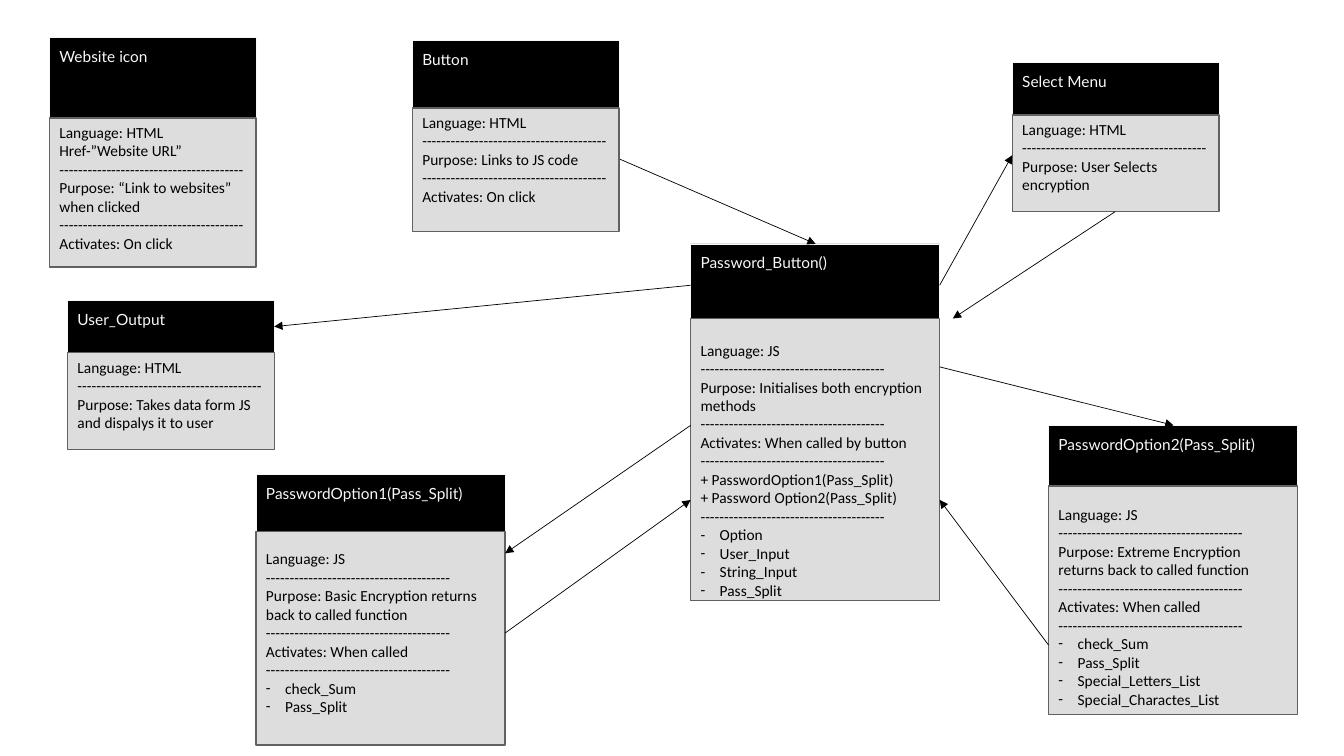
from lxml import etree
from pptx import Presentation
from pptx.dml.color import RGBColor
from pptx.enum.shapes import MSO_CONNECTOR, MSO_SHAPE
from pptx.enum.text import MSO_ANCHOR, MSO_AUTO_SIZE, PP_ALIGN
from pptx.oxml.ns import qn
from pptx.util import Inches, Pt

RECTANGLE = MSO_SHAPE.RECTANGLE
STRAIGHT = MSO_CONNECTOR.STRAIGHT
TOP = MSO_ANCHOR.TOP
LEFT = PP_ALIGN.LEFT
GROW = MSO_AUTO_SIZE.SHAPE_TO_FIT_TEXT
FIXED = MSO_AUTO_SIZE.NONE

COLORS = {
    "header": "000000",
    "header_text": "F8F8F8",
    "body": "DDDDDD",
    "body_border": "616161",
    "ink": "000000",
}
NARROW, WIDE = 2.05, 2.47
DIVIDER = "-" * 39
BULLET = "- "

# left, width, header (top, height), body (top, height), text (top, height), title, sections
CARDS = [
    (0.49, NARROW, (0.37, 0.81), (1.17, 1.48), (1.17, 2.24), "Website icon", [
        ["Language: HTML", "Href-”Website URL”"],
        ["Purpose: “Link to websites” when clicked"],
        ["Activates: On click"]]),
    (4.09, NARROW, (0.4, 0.67), (1.07, 1.23), (1.07, 1.03), "Button", [
        ["Language: HTML"],
        ["Purpose: Links to JS code"],
        ["Activates: On click"]]),
    (6.85, WIDE, (2.42, 0.81), (3.16, 2.8), (3.33, 3.25), "Password_Button()", [
        ["Language: JS"],
        ["Purpose: Initialises both encryption methods"],
        ["Activates: When called by button"],
        ["+ PasswordOption1(Pass_Split)", "+ Password Option2(Pass_Split)"],
        ["- Option", "- User_Input", "- String_Input", "- Pass_Split"]]),
    (10.04, NARROW, (0.62, 0.52), (1.14, 0.96), (1.14, 0.8), "Select Menu", [
        ["Language: HTML"],
        ["Purpose: User Selects encryption"]]),
    (2.54, WIDE, (4.71, 0.61), (5.27, 2.12), (5.4, 1.76), "PasswordOption1(Pass_Split)", [
        ["Language: JS"],
        ["Purpose: Basic Encryption returns back to called function"],
        ["Activates: When called"],
        ["- check_Sum", "- Pass_Split"]]),
    (10.4, WIDE, (4.22, 0.65), (4.82, 2.27), (4.96, 2.88), "PasswordOption2(Pass_Split)", [
        ["Language: JS"],
        ["Purpose: Extreme Encryption returns back to called function"],
        ["Activates: When called"],
        ["- check_Sum", "- Pass_Split", "- Special_Letters_List",
         "- Special_Charactes_List"]]),
    (0.67, NARROW, (2.98, 0.52), (3.5, 0.96), (3.5, 1.03), "User_Output", [
        ["Language: HTML"],
        ["Purpose: Takes data form JS and dispalys it to user"]]),
]

CALLS = [
    ((6.15, 1.58), (8.09, 2.42)),
    ((9.32, 2.83), (10.04, 1.54)),
    ((11.06, 2.1), (9.45, 3.16)),
    ((5.01, 6.28), (6.85, 4.96)),
    ((6.85, 4.22), (5.01, 5.49)),
    ((9.32, 3.64), (11.64, 4.22)),
    ((10.4, 6.4), (9.32, 4.96)),
    ((6.85, 2.83), (2.72, 3.24)),
]


def rgb(name):
    return RGBColor.from_string(COLORS[name])


def add_bullet(paragraph):
    properties = paragraph._p.get_or_add_pPr()
    properties.set("marL", str(Inches(0.19)))
    properties.set("indent", str(Inches(-0.19)))
    etree.SubElement(properties, qn("a:buFont")).set("typeface", "Calibri")
    etree.SubElement(properties, qn("a:buChar")).set("char", "-")


def write_text(frame, lines, font, color, size=11, line_spacing=None, space_after=None,
               auto_size=FIXED):
    frame.word_wrap = True
    frame.auto_size = auto_size
    frame.vertical_anchor = TOP
    for index, line in enumerate(lines):
        paragraph = frame.add_paragraph() if index else frame.paragraphs[0]
        if line.startswith(BULLET):
            add_bullet(paragraph)
        paragraph.alignment = LEFT
        paragraph.line_spacing = line_spacing
        paragraph.space_after = space_after
        run = paragraph.add_run()
        run.text = line.removeprefix(BULLET)
        run.font.name = font
        run.font.size = Pt(size)
        run.font.color.rgb = rgb(color)


def add_panel(shapes, left, top, width, height, fill, border, border_width):
    panel = shapes.add_shape(RECTANGLE, Inches(left), Inches(top), Inches(width), Inches(height))
    panel.shadow.inherit = False
    panel.fill.solid()
    panel.fill.fore_color.rgb = rgb(fill)
    panel.line.color.rgb = rgb(border)
    panel.line.width = Pt(border_width)
    return panel


def divided(sections):
    lines = list(sections[0])
    for section in sections[1:]:
        lines += [DIVIDER, *section]
    return lines


def add_card(slide, left, width, header_span, body_span, text_span, title, sections):
    card = slide.shapes.add_group_shape().shapes
    header = add_panel(card, left, header_span[0], width, header_span[1],
                       "header", "header_text", 0.5)
    write_text(header.text_frame, [title], "Lato", "header_text",
               line_spacing=1.25, space_after=Pt(8))
    add_panel(card, left, body_span[0], width, body_span[1], "body", "body_border", 1)
    details = card.add_textbox(Inches(left), Inches(text_span[0]),
                               Inches(width), Inches(text_span[1]))
    write_text(details.text_frame, divided(sections), "Calibri", "ink", auto_size=GROW)


def add_arrow(slide, start, end):
    arrow = slide.shapes.add_connector(STRAIGHT, *map(Inches, start + end))
    arrow.line.color.rgb = rgb("ink")
    arrow.line.width = Pt(0.5)
    etree.SubElement(arrow.line._get_or_add_ln(), qn("a:tailEnd")).set("type", "triangle")
    etree.SubElement(arrow._element.spPr, qn("a:effectLst"))


def main():
    presentation = Presentation()
    presentation.slide_width = Inches(13.33)
    presentation.slide_height = Inches(7.5)
    slide = presentation.slides.add_slide(presentation.slide_layouts[6])
    for card in CARDS:
        add_card(slide, *card)
    for start, end in CALLS:
        add_arrow(slide, start, end)
    presentation.save("out.pptx")


if __name__ == "__main__":
    main()
